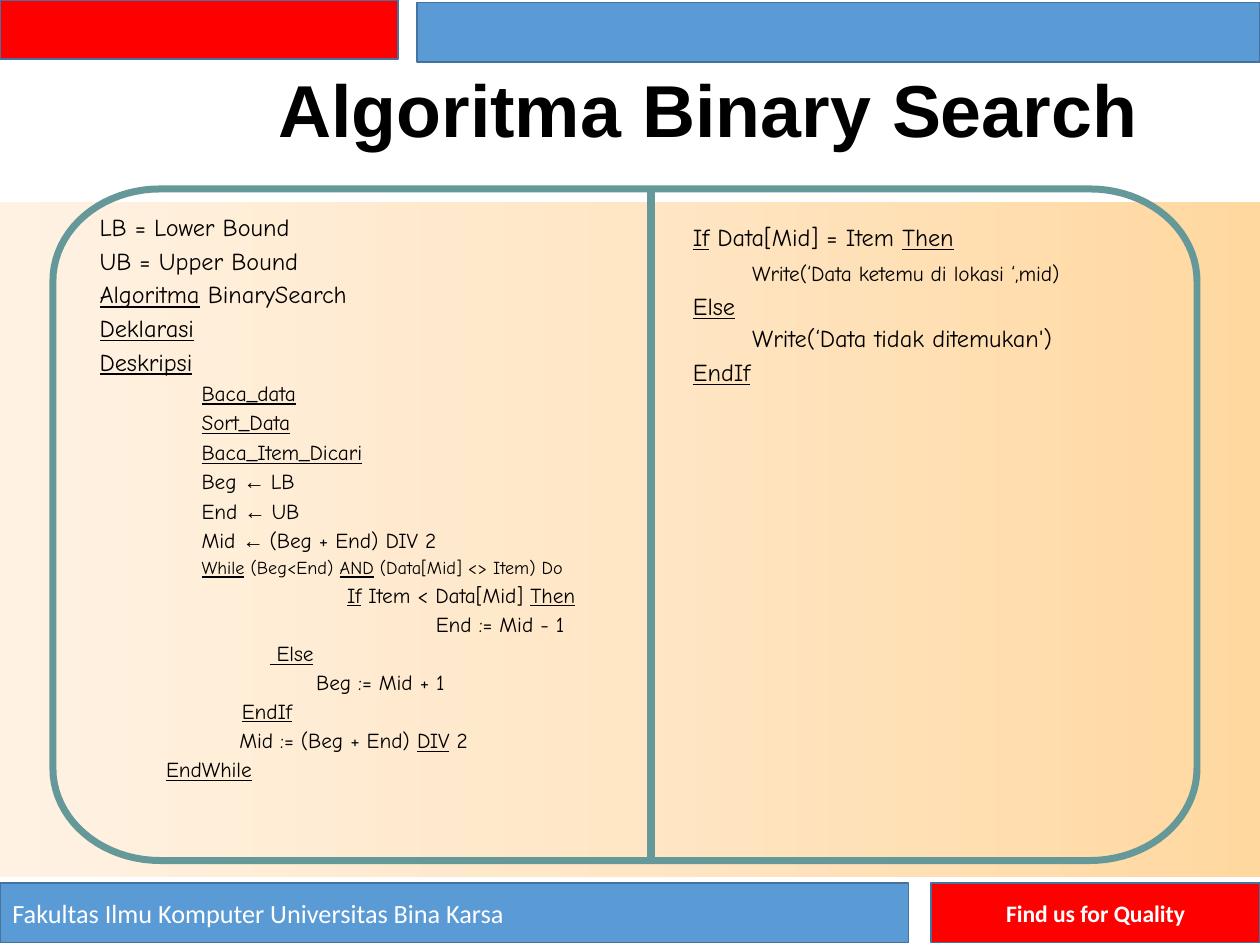
import copy
import math

import pptx
import pptx.dml.color
import pptx.enum.dml
import pptx.enum.shapes
import pptx.enum.text
import pptx.oxml.ns
import pptx.util
import lxml.etree

THEME = {
    "red": "FF0000", "blue": "5B9BD5", "edge": "43739E", "teal": "659898",
    "white": "FFFFFF", "ink": "000000",
    "glow": ["FFD8A0", "FFE6C5", "FFF2E3"],
    "title": 42, "large": 24, "medium": 21, "small": 18, "footer": 15, "motto": 13.5,
    "heading": "Arial", "bars": "Calibri", "code": "Comic Neue",
}
Pt = pptx.util.Pt
LEFT = pptx.enum.text.PP_ALIGN.LEFT
CENTER = pptx.enum.text.PP_ALIGN.CENTER
RECTANGLE = pptx.enum.shapes.MSO_SHAPE.RECTANGLE

deck = pptx.Presentation()
deck.slide_width = pptx.util.Inches(10)
deck.slide_height = pptx.util.Inches(7.5)
page = deck.slides.add_slide(deck.slide_layouts[6])
COLUMN = deck.slide_width // 1000
ROW = deck.slide_height // 750


def rgb(name):
    return pptx.dml.color.RGBColor.from_string(THEME.get(name, name))


def write(para, text, color="ink", **formats):
    span = para.add_run()
    span.text = text
    span.font.color.rgb = rgb(color)
    for key, value in formats.items():
        setattr(span.font, key, value)
    return span


panel = page.shapes.add_shape(RECTANGLE, 0, 160 * ROW, 1000 * COLUMN, 536 * ROW)
panel.shadow.inherit = False
panel.line.fill.background()
panel.fill.gradient()
panel.fill.gradient_angle = 180
first_stop = panel._element.spPr.find(".//" + pptx.oxml.ns.qn("a:gs"))
first_stop.addnext(copy.deepcopy(first_stop))
for index, stop in enumerate(panel.fill.gradient_stops):
    stop.position = index / 2
    stop.color.rgb = rgb(THEME["glow"][index])

bars = [
    (0, 0, 316, "red", "", LEFT, "footer", False),
    (331, 2, 669, "blue", "", LEFT, "footer", False),
    (0, 701, 721, "blue", "Fakultas Ilmu Komputer Universitas Bina Karsa", LEFT, "footer", False),
    (739, 701, 261, "red", "Find us for Quality", CENTER, "motto", True),
]
for left, top, width, color, text, align, size, bold in bars:
    bar = page.shapes.add_shape(RECTANGLE, left * COLUMN, top * ROW, width * COLUMN, 47 * ROW)
    bar.shadow.inherit = False
    bar.fill.solid()
    bar.fill.fore_color.rgb = rgb(color)
    bar.line.color.rgb = rgb("edge")
    bar.line.width = Pt(1)
    if text:
        bar.text_frame.vertical_anchor = pptx.enum.text.MSO_ANCHOR.MIDDLE
        para = bar.text_frame.paragraphs[0]
        para.alignment = align
        write(para, text, "white", size=Pt(THEME[size]), name=THEME["bars"], bold=bold)

frame_left, frame_top, frame_right, frame_bottom = 42, 150, 950, 683
radius_x, radius_y, steps = 85, 73, 20
corners = [
    (frame_right - radius_x, frame_top + radius_y, -90),
    (frame_right - radius_x, frame_bottom - radius_y, 0),
    (frame_left + radius_x, frame_bottom - radius_y, 90),
    (frame_left + radius_x, frame_top + radius_y, 180),
]
points = []
for center_x, center_y, start in corners:
    for step in range(steps + 1):
        angle = math.radians(start + 90 * step / steps)
        points.append((round((center_x + radius_x * math.cos(angle)) * COLUMN),
                       round((center_y + radius_y * math.sin(angle)) * ROW)))
outline = page.shapes.build_freeform(*points[0])
outline.add_line_segments(points[1:], close=True)
frame = outline.convert_to_shape()
frame.shadow.inherit = False
frame.fill.background()

divider = page.shapes.add_connector(
    pptx.enum.shapes.MSO_CONNECTOR.STRAIGHT,
    517 * COLUMN, frame_top * ROW, 517 * COLUMN, frame_bottom * ROW)
lxml.etree.SubElement(divider._element.spPr, pptx.oxml.ns.qn("a:effectLst"))
for stroke, weight in ((frame, 4), (divider, 4.5)):
    stroke.line.color.rgb = rgb("teal")
    stroke.line.width = Pt(weight)

# ~ underlines a span, | separates spans
blocks = [
    ((220, 60, 284, 61), 2.2, [(1, 44, "title", 0, "Algoritma")]),
    ((509, 60, 193, 61), 2.2, [(1, 44, "title", 0, "Binary")]),
    ((707, 60, 206, 61), 2.2, [(1, 44, "title", 0, "Search")]),
    ((78, 170, 439, 361), 0.9, [
        (1, 18.4, "large", 3, "LB = Lower Bound"),
        (1, 19.2, "large", 3, "UB = Upper Bound"),
        (1, 19.2, "large", 3, "~Algoritma| BinarySearch"),
        (1, 19.2, "large", 3, "~Deklarasi"),
        (1, 19.2, "large", 3, "~Deskripsi"),
        (82, 16.5, "medium", 3, "~Baca_data"),
        (82, 16.8, "medium", 2, "~Sort_Data"),
        (82, 16.8, "medium", 2, "~Baca_Item_Dicari"),
        (82, 16.8, "medium", 2, "Beg |← |LB"),
        (82, 16.8, "medium", 2, "End |← |UB"),
        (82, 16.8, "medium", 2, "Mid |← |(Beg + End) DIV 2"),
        (82, 14.2, "small", 2, "~While| (Beg<End) |~AND| (Data[Mid] <> Item) Do"),
        (137, 16.9, "medium", 2, "~If| Item < Data[Mid] |~Then"),
        (199, 16.8, "medium", 2, "End := Mid - 1"),
        (136, 16.6, "medium", 2, "~ Else"),
    ]),
    ((549, 178, 367, 132), 0.9, [
        (1, 18.4, "large", 3, "~If| Data[Mid] = Item |~Then"),
        (48, 18.7, "medium", 2, "Write(‘Data ketemu di lokasi ‘,mid)"),
        (1, 19.9, "large", 1, "~Else"),
        (48, 19.2, "large", 3, "Write(‘Data tidak ditemukan')"),
        (1, 18.9, "large", 1, "~EndIf"),
    ]),
    ((250, 532, 130, 22), 0.8, [(1, 16, "medium", 2, "Beg := Mid + 1")]),
    ((131, 555, 287, 69), 0.8, [
        (61, 16.1, "medium", 3, "~EndIf"),
        (59, 16.8, "medium", 2, "Mid := (Beg + End) |~DIV| 2"),
        (1, 16.6, "medium", 2, "~EndWhile"),
    ]),
]
for (left, top, width, height), lead, lines in blocks:
    box = page.shapes.add_textbox(left * COLUMN, top * ROW, width * COLUMN, height * ROW)
    body = box.text_frame
    for key, value in {"word_wrap": True, "margin_left": 0, "margin_right": 0,
                       "margin_top": 0, "margin_bottom": 0}.items():
        setattr(body, key, value)
    for index, (indent, spacing, size, lift, text) in enumerate(lines):
        para = body.add_paragraph() if index else body.paragraphs[0]
        centered = indent in (137, 199)
        for key, value in {"line_spacing": Pt(spacing), "space_before": Pt(0 if index else lead),
                           "alignment": CENTER if centered else LEFT}.items():
            setattr(para, key, value)
        para._p.get_or_add_pPr().set("marL", str(indent * COLUMN))
        for part in text.split("|"):
            heading = size == "title" or part.startswith("←")
            span = write(para, part.removeprefix("~"), size=Pt(THEME[size]), bold=size == "title",
                         name=THEME["heading" if heading else "code"],
                         underline=part.startswith("~"))
            if lift:
                span.font._element.set("baseline", str(lift * 1000))

deck.save("out.pptx")
